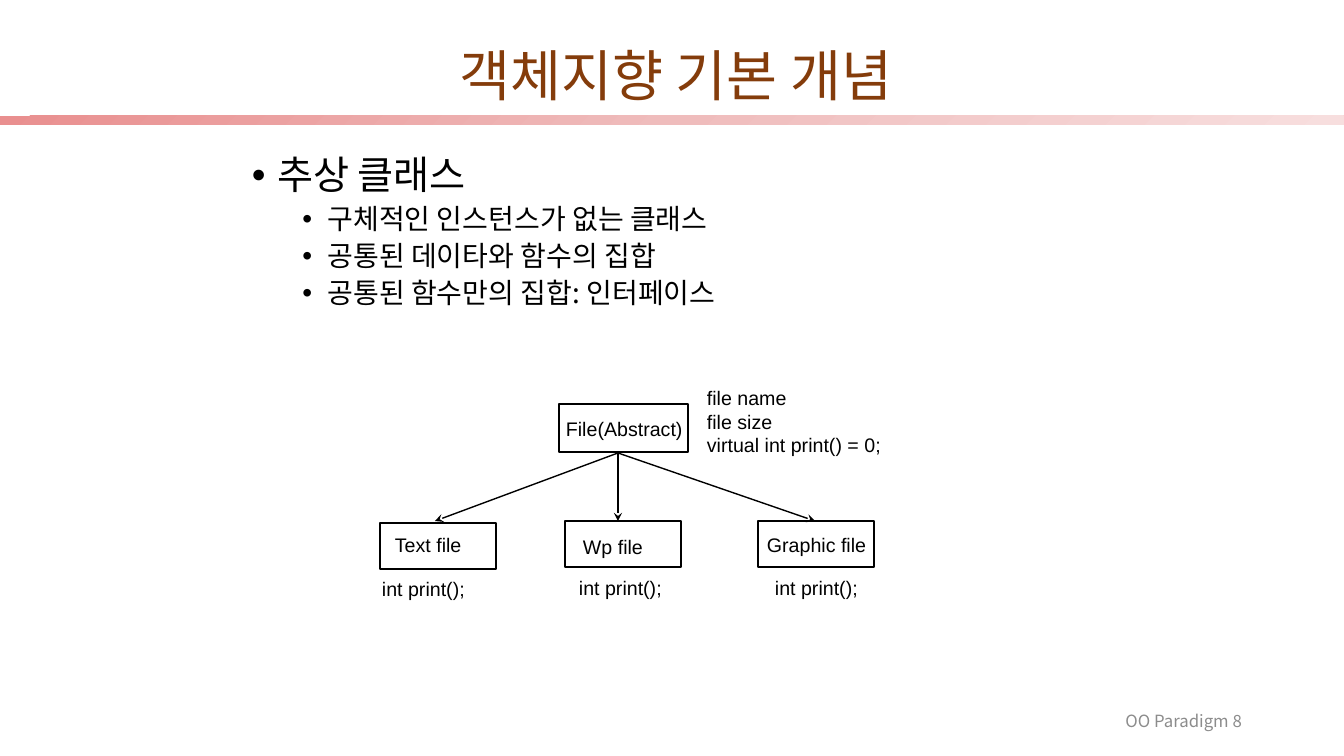
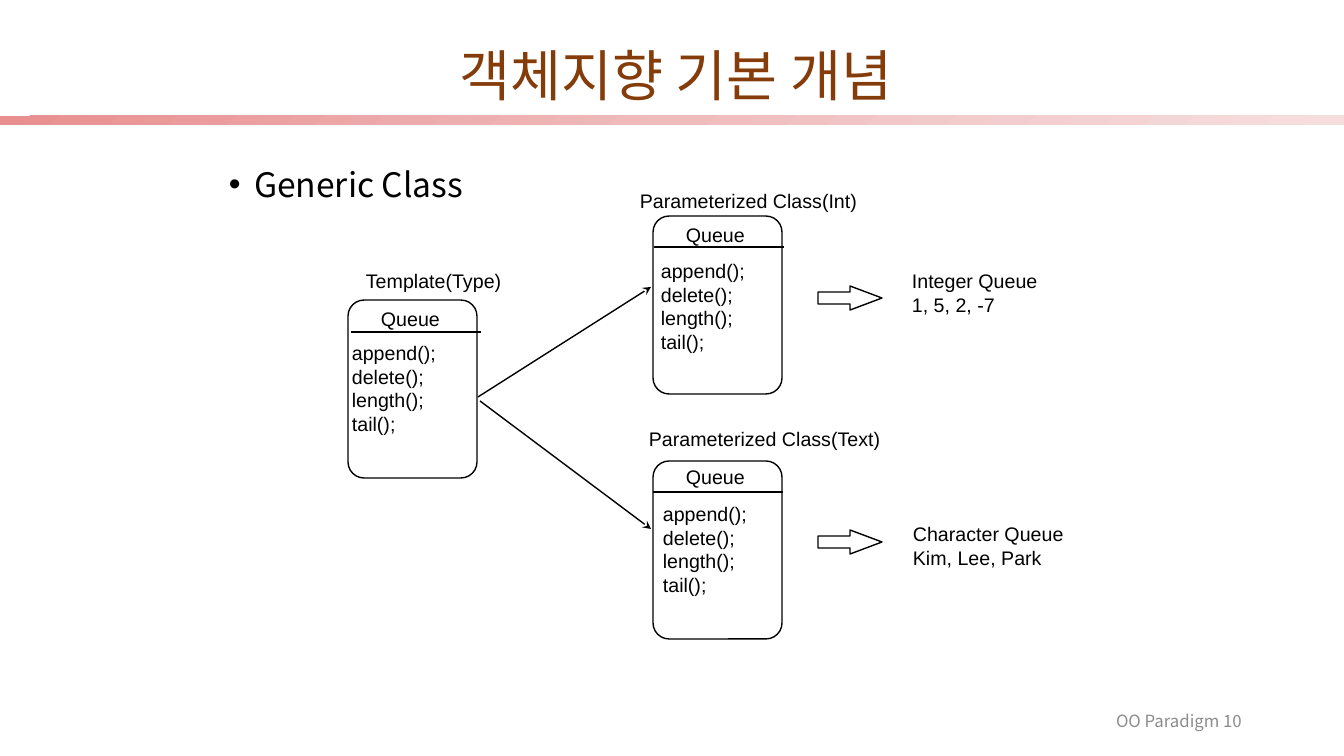
from dataclasses import dataclass
from copy import deepcopy

from lxml import etree
from pptx import Presentation
from pptx.dml.color import RGBColor
from pptx.enum import shapes, text
from pptx.oxml import ns
from pptx.util import Emu, Pt

PX = 12192000 / 1344


@dataclass(frozen=True)
class Theme:
    ink: str = "000000"
    title: str = "843C0B"
    footer: str = "8C8C8C"
    band: tuple = ("E98F8F", "EFBCBC", "F7DEDE")
    heading_font: str = "Noto Sans CJK KR"
    diagram_font: str = "Arial"
    title_size: float = 39.6
    topic_size: int = 28
    topic_small_size: int = 24
    point_size: int = 20
    label_size: int = 14
    footer_size: int = 12
    line_width: int = 1


THEME = Theme()
METHODS = "append();\ndelete();\nlength();\ntail();"


def px(*values):
    return [Emu(round(v * PX)) for v in values]


def rgb(value):
    return RGBColor.from_string(value)


def add_xml(parent, tag, **attrs):
    return etree.SubElement(parent, ns.qn(tag), attrs)


def format_text(p, value, *, size=THEME.label_size, font=THEME.diagram_font,
                color=THEME.ink, align=None, spacing=None, before=None, level=None):
    r = p.add_run()
    r.text = value
    r.font.size = Pt(size)
    r.font.color.rgb = rgb(color)
    r.font.name = font
    add_xml(r.font._element, "a:ea", typeface=font)
    p.alignment = align
    p.line_spacing = spacing
    if before is not None:
        p.space_before = Pt(before)
    if level is not None:
        p.level = level
        pPr = p._p.get_or_add_pPr()
        pPr.set("marL", str(Pt(18 + 36 * level)))
        pPr.set("indent", str(-Pt(18)))
        add_xml(pPr, "a:buFont", typeface="Arial")
        add_xml(pPr, "a:buChar", char="•")


def add_box(slide, box, *, wrap=True, anchor=text.MSO_ANCHOR.TOP):
    tf = slide.shapes.add_textbox(*px(*box)).text_frame
    tf.word_wrap = wrap
    tf.vertical_anchor = anchor
    tf.auto_size = text.MSO_AUTO_SIZE.NONE if wrap else text.MSO_AUTO_SIZE.SHAPE_TO_FIT_TEXT
    return tf


def add_paragraphs(tf, items):
    for i, (value, fmt) in enumerate(items):
        p = tf.paragraphs[0] if i == 0 else tf.add_paragraph()
        format_text(p, value, **fmt)


def add_label(slide, value, x, y, width):
    lines = value.split("\n")
    tf = add_box(slide, (x, y, width, 10 + 24 * len(lines)), wrap=False)
    add_paragraphs(tf, [(line, {}) for line in lines])


def add_bullets(slide, box, topic, points=(), *, size, spacing=0.9):
    shared = dict(font=THEME.heading_font, spacing=spacing)
    items = [(topic, dict(shared, size=size, before=10, level=0))]
    items += [(point, dict(shared, size=THEME.point_size, before=5, level=1))
              for point in points]
    add_paragraphs(add_box(slide, box), items)


def add_outline(slide, kind, box, *adjustments):
    sp = slide.shapes.add_shape(kind, *px(*box))
    sp.shadow.inherit = False
    sp.fill.background()
    sp.line.color.rgb = rgb(THEME.ink)
    sp.line.width = Pt(THEME.line_width)
    for i, value in enumerate(adjustments):
        sp.adjustments[i] = value


def add_line(slide, start, end, *, arrow=False):
    line = slide.shapes.add_connector(shapes.MSO_CONNECTOR.STRAIGHT, *px(*start, *end))
    line.line.color.rgb = rgb(THEME.ink)
    line.line.width = Pt(THEME.line_width)
    if arrow:
        add_xml(line.line._get_or_add_ln(), "a:tailEnd", type="stealth")
    add_xml(line._element.spPr, "a:effectLst")


def add_band(slide):
    sp = slide.shapes.add_shape(shapes.MSO_SHAPE.RECTANGLE, *px(0, 116, 1344, 9))
    sp.shadow.inherit = False
    sp.line.fill.background()
    sp.fill.gradient()
    sp.fill.gradient_angle = 315
    stops = sp._element.spPr.find(ns.qn("a:gradFill")).find(ns.qn("a:gsLst"))
    stops.insert(1, deepcopy(stops[0]))
    for i, (stop, color) in enumerate(zip(sp.fill.gradient_stops, THEME.band)):
        stop.position = i / 2
        stop.color.rgb = rgb(color)


def add_slide(prs, title, number):
    slide = prs.slides.add_slide(prs.slide_layouts[6])
    add_band(slide)
    middle = text.MSO_ANCHOR.MIDDLE
    format_text(add_box(slide, (60, 48, 1232, 61), anchor=middle).paragraphs[0], title,
                size=THEME.title_size, font=THEME.heading_font, color=THEME.title,
                align=text.PP_ALIGN.CENTER, spacing=0.9)
    format_text(add_box(slide, (950, 701, 302, 40), anchor=middle).paragraphs[0],
                f"OO Paradigm {number}", size=THEME.footer_size,
                font=THEME.heading_font, color=THEME.footer, align=text.PP_ALIGN.RIGHT)
    return slide


def add_queue_class(slide, x, y, *, name_dy, rule, methods):
    add_outline(slide, shapes.MSO_SHAPE.ROUNDED_RECTANGLE, (x, y, 129, 178), 0.125)
    add_label(slide, "Queue", x + 23, y + name_dy, 80)
    rule_x, rule_y = x + rule[0], y + rule[1]
    add_line(slide, (rule_x, rule_y), (rule_x + 130, rule_y))
    add_label(slide, METHODS, x + methods[0], y + methods[1], 105)


def build_abstract_class(prs):
    slide = add_slide(prs, "객체지향 기본 개념", 8)
    add_bullets(slide, (242, 151, 875, 219), "추상 클래스",
                ["구체적인 인스턴스가 없는 클래스", "공통된 데이타와 함수의 집합",
                 "공통된 함수만의 집합: 인터페이스"], size=THEME.topic_size)
    add_outline(slide, shapes.MSO_SHAPE.RECTANGLE, (559, 404, 129, 48))
    add_label(slide, "File(Abstract)", 556, 412, 138)
    add_label(slide, "file name\nfile size\nvirtual int print() = 0;", 697, 381, 196)
    subclasses = [
        ("Text file", (380, 523), (385, 528, 88), (372, 572), (435, 521)),
        ("Wp file", (565, 521), (573, 530, 81), (569, 571), (618, 521)),
        ("Graphic file", (758, 521), (757, 528, 120), (765, 571), (815, 521)),
    ]
    for name, corner, label, method, tip in subclasses:
        add_outline(slide, shapes.MSO_SHAPE.RECTANGLE, (*corner, 116, 46))
        add_label(slide, name, *label)
        add_label(slide, "int print();", *method, 104)
        add_line(slide, (618, 453), tip, arrow=True)


def build_generic_class(prs):
    slide = add_slide(prs, "객체지향 기본 개념", 10)
    add_bullets(slide, (219, 151, 925, 68), "Generic Class",
                size=THEME.topic_small_size, spacing=1.2)
    add_queue_class(slide, 348, 300, name_dy=2, rule=(3, 32), methods=(-6, 36))
    add_queue_class(slide, 653, 216, name_dy=2, rule=(1, 31), methods=(-2, 38))
    add_queue_class(slide, 653, 461, name_dy=-1, rule=(0, 31), methods=(0, 36))
    add_label(slide, "Template(Type)", 356, 264, 156)
    add_label(slide, "Parameterized Class(Int)", 630, 184, 239)
    add_label(slide, "Parameterized Class(Text)", 639, 422, 253)
    add_label(slide, "Integer Queue\n1, 5, 2, -7", 902, 264, 146)
    add_label(slide, "Character Queue\nKim, Lee, Park", 903, 517, 171)
    for y in (286, 530):
        add_outline(slide, shapes.MSO_SHAPE.RIGHT_ARROW, (818, y, 64, 24), 0.5, 1.33)
    add_line(slide, (478, 397), (651, 287), arrow=True)
    add_line(slide, (480, 401), (651, 529), arrow=True)


def main():
    prs = Presentation()
    prs.slide_width, prs.slide_height = px(1344, 756)
    build_abstract_class(prs)
    build_generic_class(prs)
    prs.save("out.pptx")


main()
